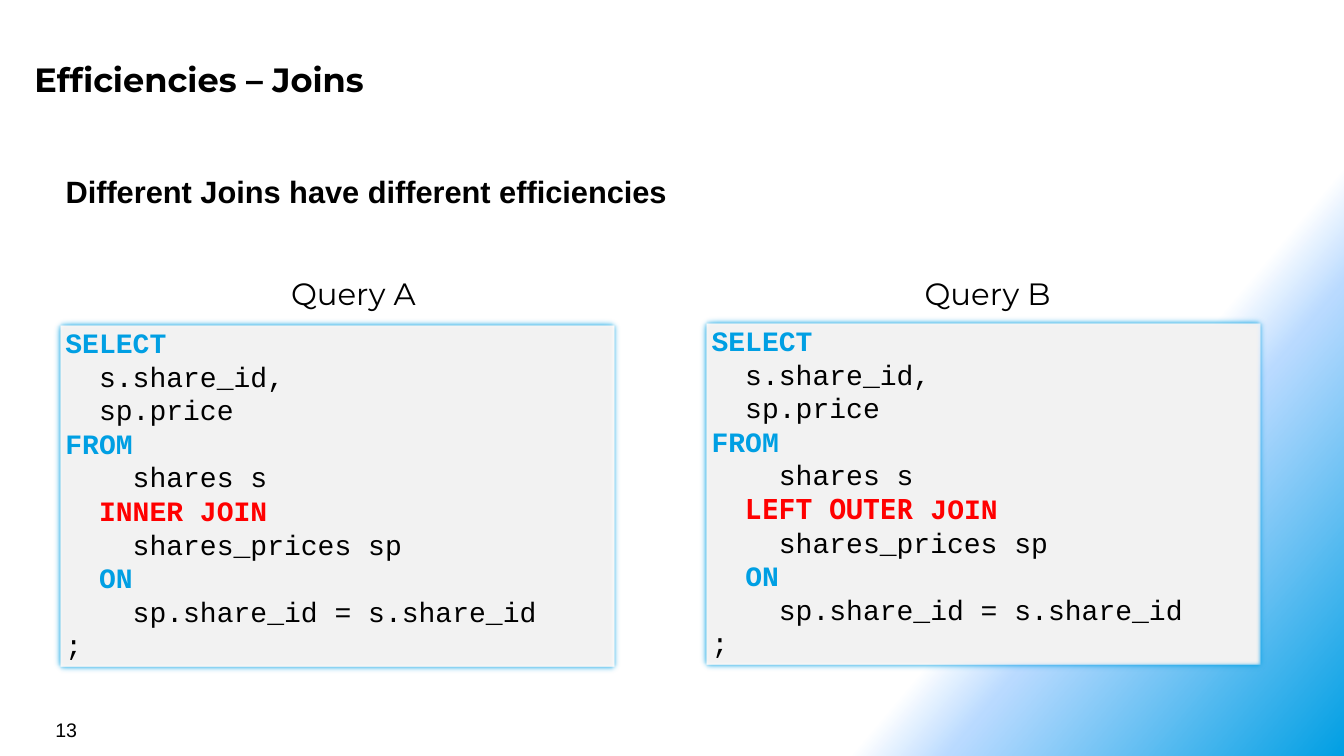
from lxml import etree
from pptx import Presentation
from pptx.dml.color import RGBColor
from pptx.enum.shapes import MSO_SHAPE
from pptx.enum.text import MSO_ANCHOR, MSO_AUTO_SIZE, PP_ALIGN
from pptx.oxml import parse_xml
from pptx.oxml.ns import nsdecls, qn
from pptx.util import Inches, Pt

LEFT, CENTER = PP_ALIGN.LEFT, PP_ALIGN.CENTER
TOP, MIDDLE = MSO_ANCHOR.TOP, MSO_ANCHOR.MIDDLE
NO_AUTOFIT = MSO_AUTO_SIZE.NONE
RECTANGLE = MSO_SHAPE.RECTANGLE

WIDTH, HEIGHT = Inches(13.33), Inches(7.5)
BLACK, BLUE, RED, GREY = "000000", "009FE3", "FF0000", "F2F2F2"
GRADIENT = [(75, "FFFFFF", 100), (80, "B9DAFF", 50), (100, BLUE, 100)]
GRADIENT_ANGLE = 40

TITLE = {"name": "Montserrat", "size": Pt(24), "bold": True}
STATEMENT = {"name": "Arial", "size": Pt(22), "bold": True}
HEADING = {"name": "Montserrat", "size": Pt(22), "bold": False}
NUMBER = {"name": "Arial", "size": Pt(14), "bold": False}
CODE = {"name": "Courier New", "size": Pt(20), "bold": False}
KEYWORD = {**CODE, "bold": True}
WIDE_KEYWORD = {**KEYWORD, "name": "Noto Sans Mono"}


def color(hex_string):
    """Turn a hex string into a colour."""
    return RGBColor.from_string(hex_string)


def place(shape, box):
    """Set a shape's box, given in percent of the slide."""
    left, top, width, height = box
    shape.left, shape.width = (int(WIDTH * share / 100) for share in (left, width))
    shape.top, shape.height = (int(HEIGHT * share / 100) for share in (top, height))


def prepare_frame(shape, anchor=TOP):
    """Give a shape's text frame wrapping and a fixed size."""
    frame = shape.text_frame
    frame.word_wrap = True
    frame.auto_size = NO_AUTOFIT
    frame.vertical_anchor = anchor
    return frame


def add_run(paragraph, text, font_values, hex_string=BLACK):
    """Add a formatted run to a paragraph."""
    run = paragraph.add_run()
    run.text = text
    for name, value in font_values.items():
        setattr(run.font, name, value)
    run.font.color.rgb = color(hex_string)


def write_line(shape, box, text, font_values, align=LEFT, anchor=TOP):
    """Place a shape and write one line of text in it."""
    place(shape, box)
    paragraph = prepare_frame(shape, anchor).paragraphs[0]
    paragraph.alignment = align
    add_run(paragraph, text, font_values)
    return paragraph


def paint_background(slide):
    """Fill the slide with the diagonal gradient."""
    fill = slide.background.fill
    fill.gradient()
    gradient = slide.element.find(".//" + qn("a:gradFill"))
    stops = gradient.find(qn("a:gsLst"))
    for stop in list(stops):
        stops.remove(stop)
    for position, hex_string, opacity in GRADIENT:
        stops.append(parse_xml(
            f'<a:gs {nsdecls("a")} pos="{position * 1000}"><a:srgbClr val="{hex_string}">'
            f'<a:alpha val="{opacity * 1000}"/></a:srgbClr></a:gs>'))
    direction = gradient.find(qn("a:lin"))
    direction.set("ang", str(GRADIENT_ANGLE * 60000))
    direction.set("scaled", "0")


def add_title(slide, box):
    """Write the slide title."""
    title = slide.shapes.title
    write_line(title, box, "Efficiencies – Joins", TITLE, anchor=MIDDLE)
    frame = title.text_frame
    for side in ("left", "top", "right", "bottom"):
        setattr(frame, f"margin_{side}", Inches(0.08))


def add_statement(slide, box):
    """Write the main statement in the body placeholder."""
    body = slide.placeholders[1]
    paragraph = write_line(body, box, "Different Joins have different efficiencies", STATEMENT)
    properties = paragraph._p.get_or_add_pPr()
    properties.set("marL", "0")
    properties.set("indent", "0")
    etree.SubElement(properties, qn("a:buNone"))
    paragraph.space_before, paragraph.space_after = Pt(0), Pt(12)


def query_lines(join_runs):
    """List the runs of each code line around the given join."""
    return [
        [("SELECT", KEYWORD, BLUE)],
        [("  s.share_id,", CODE)],
        [("  sp.price", CODE)],
        [("FROM", KEYWORD, BLUE)],
        [("    shares s", CODE)],
        [("  ", CODE), *join_runs],
        [("    shares_prices sp", CODE)],
        [("  ", CODE), ("ON", KEYWORD, BLUE)],
        [("    sp.share_id = s.share_id", CODE)],
        [(";", CODE)],
    ]


def add_code(slide, box, lines):
    """Draw a soft-edged code box."""
    shape = slide.shapes.add_shape(RECTANGLE, 0, 0, 0, 0)
    place(shape, box)
    shape.fill.solid()
    shape.fill.fore_color.rgb = color(GREY)
    shape.line.color.rgb = color(BLUE)
    shape.line.width = Pt(6)
    shape.shadow.inherit = False
    effects = shape._element.spPr.find(qn("a:effectLst"))
    etree.SubElement(effects, qn("a:softEdge"), rad=str(Pt(5)))
    frame = prepare_frame(shape)
    for index, runs in enumerate(lines):
        paragraph = frame.add_paragraph() if index else frame.paragraphs[0]
        paragraph.alignment = LEFT
        paragraph.line_spacing = Pt(24)
        for run in runs:
            add_run(paragraph, *run)


def add_query(slide, box, name, code_offset, join_runs):
    """Place a query heading and its code box below."""
    left, top, width, height = box
    heading = slide.shapes.add_textbox(0, 0, 0, 0)
    write_line(heading, (left, top, width, 6.27), name, HEADING, CENTER)
    across, down = code_offset
    code_box = (left + across, top + down, 41.79, height - down)
    add_code(slide, code_box, query_lines(join_runs))


def add_number(slide, box):
    """Write the slide number."""
    write_line(slide.shapes.add_textbox(0, 0, 0, 0), box, "13", NUMBER)


def main():
    """Build and save the presentation."""
    presentation = Presentation()
    presentation.slide_width, presentation.slide_height = WIDTH, HEIGHT
    slide = presentation.slides.add_slide(presentation.slide_layouts[1])
    paint_background(slide)
    add_title(slide, (1.95, 6.8, 91.97, 7.33))
    add_statement(slide, (4.13, 22.13, 92.12, 64.67))
    add_query(slide, (4.13, 35.73, 44.34, 52.94), "Query A", (0, 6.67),
              [("INNER JOIN", KEYWORD, RED)])
    add_query(slide, (50.64, 35.73, 45.69, 52.67), "Query B", (1.57, 6.4),
              [("LEFT OUTER", WIDE_KEYWORD, RED), (" JOIN", KEYWORD, RED)])
    add_number(slide, (3.38, 94.27, 23.33, 4.4))
    presentation.save("out.pptx")


if __name__ == "__main__":
    main()
